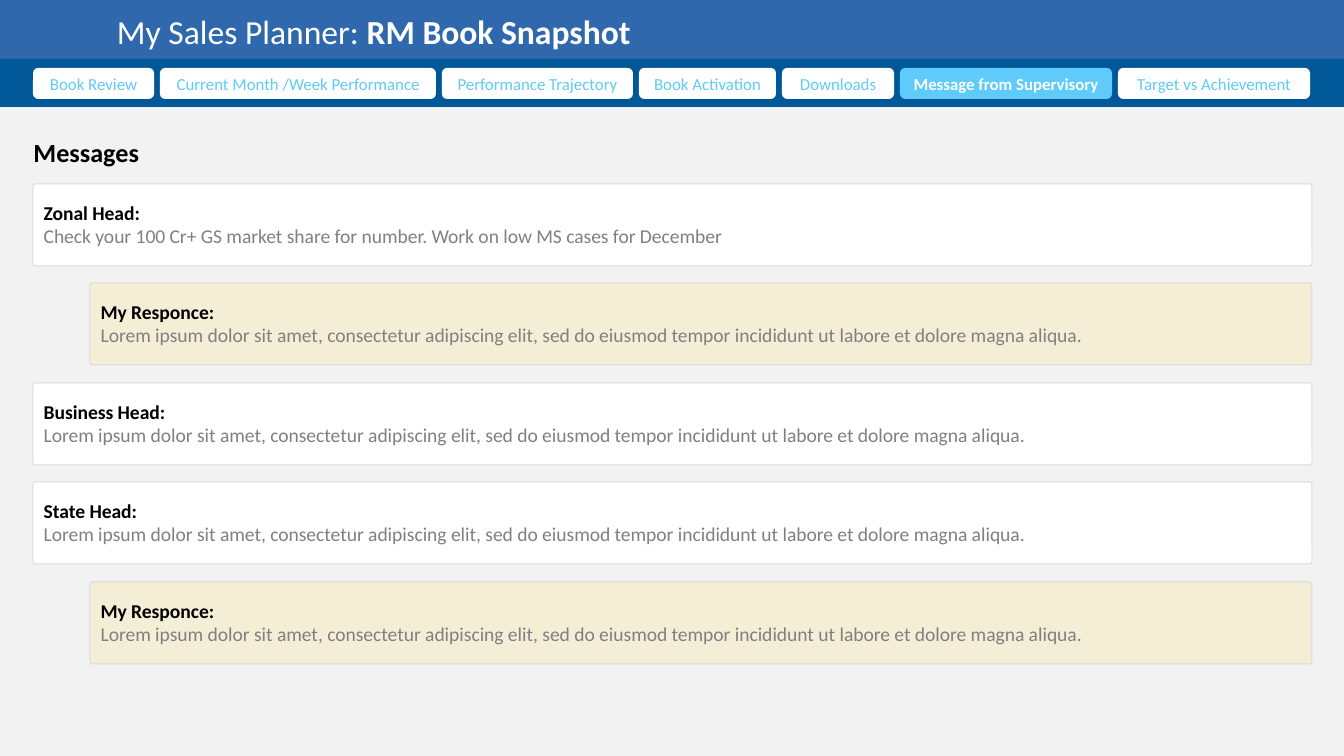
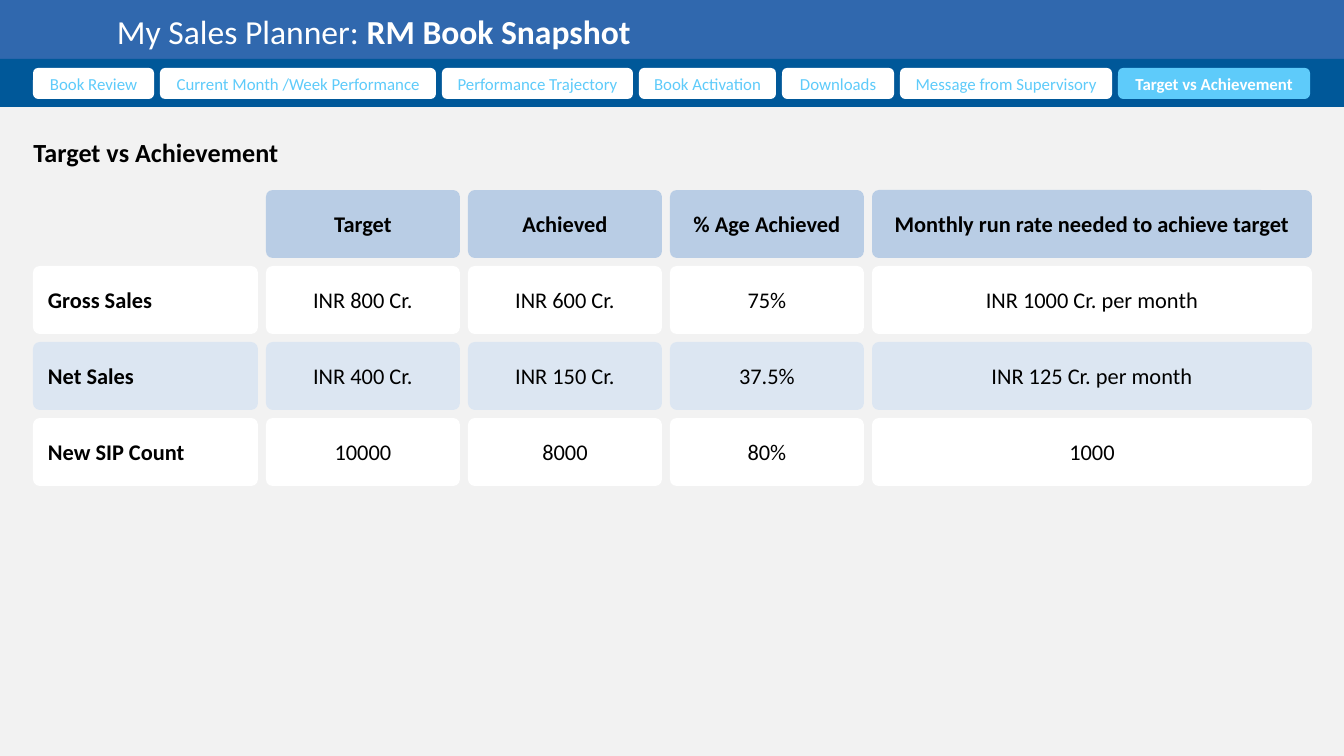
"""Build the two sales planner slides: messages and target vs achievement."""
from pptx import Presentation
from pptx.dml.color import RGBColor
from pptx.enum.shapes import MSO_SHAPE
from pptx.enum.text import MSO_ANCHOR, PP_ALIGN
from pptx.util import Pt

COLORS = {
    "page": "F2F2F2", "header": "3068AE", "nav": "005899", "accent": "5ECBFA",
    "white": "FFFFFF", "black": "000000", "grey": "808080", "border": "D9D9D9",
    "reply": "F5EED6", "head": "B9CDE5", "stripe": "DCE6F2",
}
FONT = "Calibri"
WIDTH, HEIGHT = 1344, 756
LEFT, RIGHT = 33, 1312
TITLE = ("My Sales Planner: ", "RM Book Snapshot")
TABS = [
    ("Book Review", 121), ("Current Month /Week Performance", 276),
    ("Performance Trajectory", 191), ("Book Activation", 137),
    ("Downloads", 112), ("Message from Supervisory", 212),
    ("Target vs Achievement", 192),
]
LOREM = ("Lorem ipsum dolor sit amet, consectetur adipiscing elit, sed do eiusmod "
         "tempor incididunt ut labore et dolore magna aliqua.")
ZONAL = "Check your 100 Cr+ GS market share for number. Work on low MS cases for December"
MESSAGES = [
    ("Zonal Head:", ZONAL, False),
    ("My Responce:", LOREM, True),
    ("Business Head:", LOREM, False),
    ("State Head:", LOREM, False),
    ("My Responce:", LOREM, True),
]
COLUMNS = [225, 194, 194, 194, 440]
ROWS = [
    ("head", ["", "Target", "Achieved", "% Age Achieved",
              "Monthly run rate needed to achieve target"]),
    ("white", ["Gross Sales", "INR 800 Cr.", "INR 600 Cr.", "75%", "INR 1000 Cr. per month"]),
    ("stripe", ["Net Sales", "INR 400 Cr.", "INR 150 Cr.", "37.5%", "INR 125 Cr. per month"]),
    ("white", ["New SIP Count", "10000", "8000", "80%", "1000"]),
]


def px(n):
    return round(n * 914400 / 134.4)


def rgb(name):
    return RGBColor.from_string(COLORS[name])


def add_box(s, x, y, w, h, fill=None, line=None, kind=MSO_SHAPE.ROUNDED_RECTANGLE, radius=None):
    sp = s.shapes.add_shape(kind, px(x), px(y), px(w), px(h))
    sp.shadow.inherit = False
    if radius is not None:
        sp.adjustments[0] = radius
    if fill:
        sp.fill.solid()
        sp.fill.fore_color.rgb = rgb(fill)
    else:
        sp.fill.background()
    if line:
        sp.line.color.rgb = rgb(line)
        sp.line.width = Pt(0.5)
    else:
        sp.line.fill.background()
    return sp


def write(sp, *paragraphs, size=12, color="black", bold=False, align=PP_ALIGN.LEFT,
          anchor=MSO_ANCHOR.MIDDLE, insets=(10, 5, 10, 5)):
    """Fill a shape; a paragraph is a list of (text, format overrides) runs."""
    tf = sp.text_frame
    tf.word_wrap = True
    tf.vertical_anchor = anchor
    tf.margin_left, tf.margin_top, tf.margin_right, tf.margin_bottom = map(px, insets)
    for i, runs in enumerate(paragraphs):
        p = tf.add_paragraph() if i else tf.paragraphs[0]
        p.alignment = align
        for text, fmt in runs:
            r = p.add_run()
            r.text = text
            r.font.name = FONT
            r.font.size = Pt(size)
            r.font.bold = fmt.get("bold", bold)
            r.font.color.rgb = rgb(fmt.get("color", color))


def add_page(prs, heading, active):
    s = prs.slides.add_slide(prs.slide_layouts[6])
    for y, h, fill in [(59, HEIGHT - 59, "page"), (-1, 63, "header"), (59, 48, "nav")]:
        add_box(s, 0, y, WIDTH, h, fill, kind=MSO_SHAPE.RECTANGLE)
    title = s.shapes.add_textbox(px(117), px(10), px(1085), px(43))
    write(title, [(TITLE[0], {}), (TITLE[1], {"bold": True})],
          size=18, color="white", insets=(0, 0, 0, 0))
    x = LEFT
    for label, w in TABS:
        on = label == active
        tab = add_box(s, x, 68, w, 31, "accent" if on else "white")
        write(tab, [(label, {})], size=9, color="white" if on else "accent",
              bold=on, align=PP_ALIGN.CENTER)
        x += w + 6
    write(add_box(s, 22, 137, 320, 31), [(heading, {})], size=14, bold=True)
    return s


def add_messages(s):
    for i, (sender, message, reply) in enumerate(MESSAGES):
        x = 90 if reply else LEFT
        card = add_box(s, x, 184 + 199 * i // 2, RIGHT - x, 82,
                       "reply" if reply else "white", "border", radius=0.03)
        write(card, [(sender, {"bold": True})], [(message, {"color": "grey"})],
              size=10.5, anchor=MSO_ANCHOR.TOP, insets=(10, 16, 10, 5))


def add_targets(s):
    for i, (fill, cells) in enumerate(ROWS):
        x = LEFT
        for j, (text, w) in enumerate(zip(cells, COLUMNS)):
            if text:
                cell = add_box(s, x, 190 + 76 * i, w, 68, fill, radius=0.1)
                write(cell, [(text, {})], bold=i == 0 or j == 0, insets=(13, 7, 13, 7),
                      align=PP_ALIGN.CENTER if j else PP_ALIGN.LEFT)
            x += w + 8


def main():
    prs = Presentation()
    prs.slide_width, prs.slide_height = px(WIDTH), px(HEIGHT)
    add_messages(add_page(prs, "Messages", "Message from Supervisory"))
    add_targets(add_page(prs, "Target vs Achievement", "Target vs Achievement"))
    prs.save("out.pptx")


if __name__ == "__main__":
    main()
